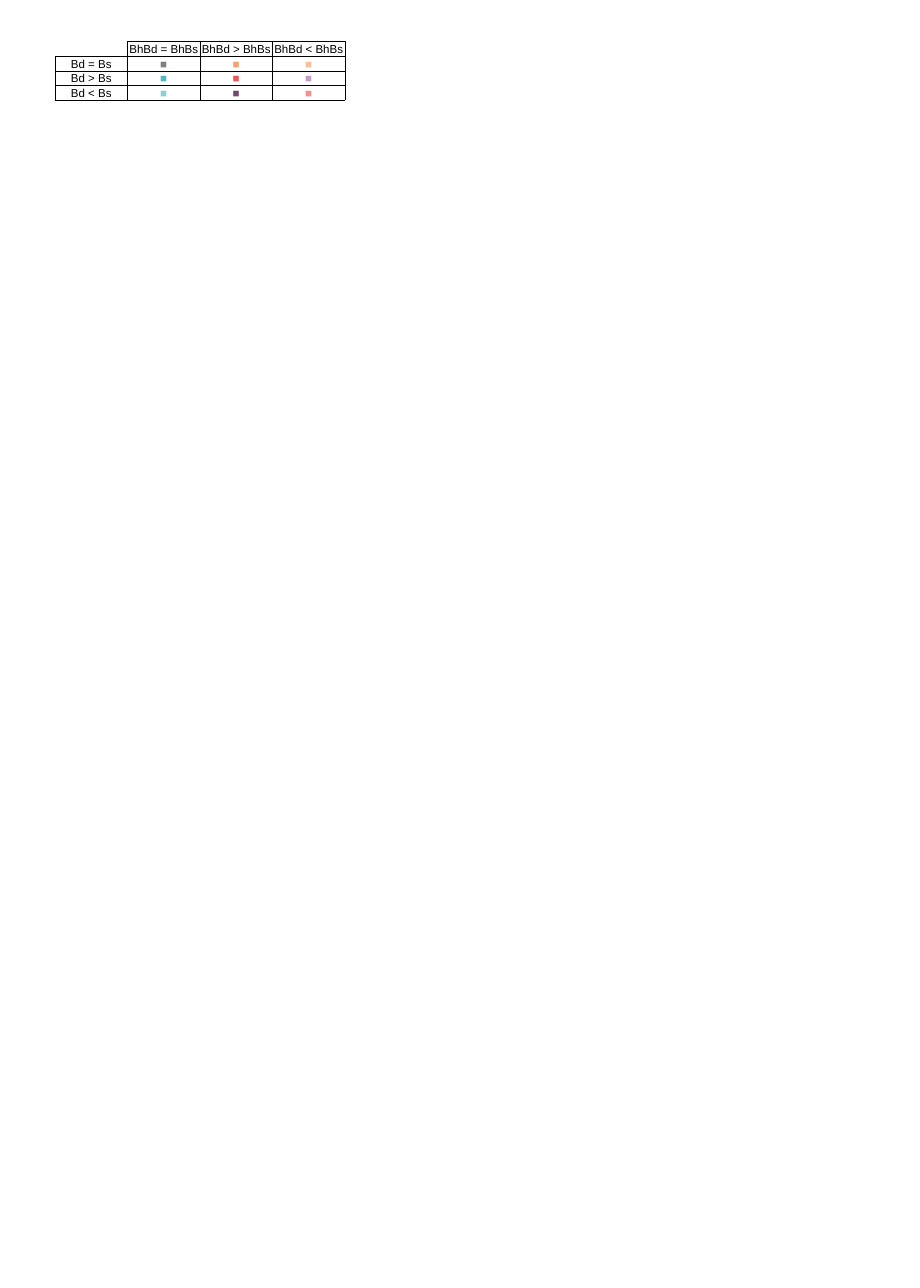
from dataclasses import dataclass
from typing import Optional

from lxml.etree import SubElement
from pptx import Presentation
from pptx.dml.color import RGBColor
from pptx.enum.text import MSO_ANCHOR, PP_ALIGN
from pptx.oxml.ns import qn
from pptx.util import Cm, Pt

FONT_SIZE = 9
BORDER_WIDTH = 0.5
BLACK = "000000"
SIDES = ("L", "R", "T", "B")


@dataclass(frozen=True)
class ComparisonRow:
    label: str
    marker_colors: tuple[str, ...]


COLUMN_LABELS = ("BhBd = BhBs", "BhBd > BhBs", "BhBd < BhBs")
COMPARISON_ROWS = (
    ComparisonRow("Bd = Bs", ("7F7F7F", "F4A16F", "F8C09F")),
    ComparisonRow("Bd > Bs", ("50B9C1", "ED5654", "C59EC3")),
    ComparisonRow("Bd < Bs", ("8AD0D6", "764674", "F38F8D")),
)


def rgb(color: str) -> RGBColor:
    return RGBColor.from_string(color)


def set_border(cell, side: str, color: Optional[str]) -> None:
    properties = cell._tc.get_or_add_tcPr()
    line = SubElement(properties, qn(f"a:ln{side}"), w=str(Pt(BORDER_WIDTH)))
    if color is None:
        SubElement(line, qn("a:noFill"))
    else:
        fill = SubElement(line, qn("a:solidFill"))
        SubElement(fill, qn("a:srgbClr"), val=color)


def format_cell(cell, visible_sides: tuple[str, ...] = SIDES) -> None:
    for side in SIDES:
        set_border(cell, side, BLACK if side in visible_sides else None)
    cell.fill.background()
    cell.margin_left = cell.margin_right = cell.margin_top = Cm(0.03)
    cell.margin_bottom = Cm(0)
    cell.vertical_anchor = MSO_ANCHOR.MIDDLE


def write_text(cell, text: str, *, color: str = BLACK, size: float = FONT_SIZE,
               font: str = "Arial", bold: bool = False) -> None:
    paragraph = cell.text_frame.paragraphs[0]
    paragraph.alignment = PP_ALIGN.CENTER
    run = paragraph.add_run()
    run.text = text
    run.font.name = font
    run.font.size = Pt(size)
    run.font.bold = bold
    run.font.color.rgb = rgb(color)


def format_corner(cell) -> None:
    format_cell(cell, visible_sides=("R", "B"))
    paragraph = cell.text_frame.paragraphs[0]
    SubElement(paragraph._p, qn("a:endParaRPr"), sz=str(FONT_SIZE * 100))


def add_comparison_table(slide) -> None:
    row_count = len(COMPARISON_ROWS) + 1
    column_count = len(COLUMN_LABELS) + 1
    column_width, row_height = Cm(2), Cm(0.4)
    table = slide.shapes.add_table(
        row_count, column_count, Cm(1.52), Cm(1.14),
        column_width * column_count, row_height * row_count,
    ).table
    table.first_row = False
    table.horz_banding = False

    format_corner(table.cell(0, 0))
    for column, label in enumerate(COLUMN_LABELS, start=1):
        format_cell(table.cell(0, column))
        write_text(table.cell(0, column), label)
    for row, comparison in enumerate(COMPARISON_ROWS, start=1):
        format_cell(table.cell(row, 0))
        write_text(table.cell(row, 0), comparison.label)
        for column, color in enumerate(comparison.marker_colors, start=1):
            format_cell(table.cell(row, column))
            write_text(table.cell(row, column), "■", color=color)


presentation = Presentation()
presentation.slide_width = Cm(25.4)
presentation.slide_height = Cm(35.56)
slide = presentation.slides.add_slide(presentation.slide_layouts[6])
add_comparison_table(slide)
presentation.save("out.pptx")
